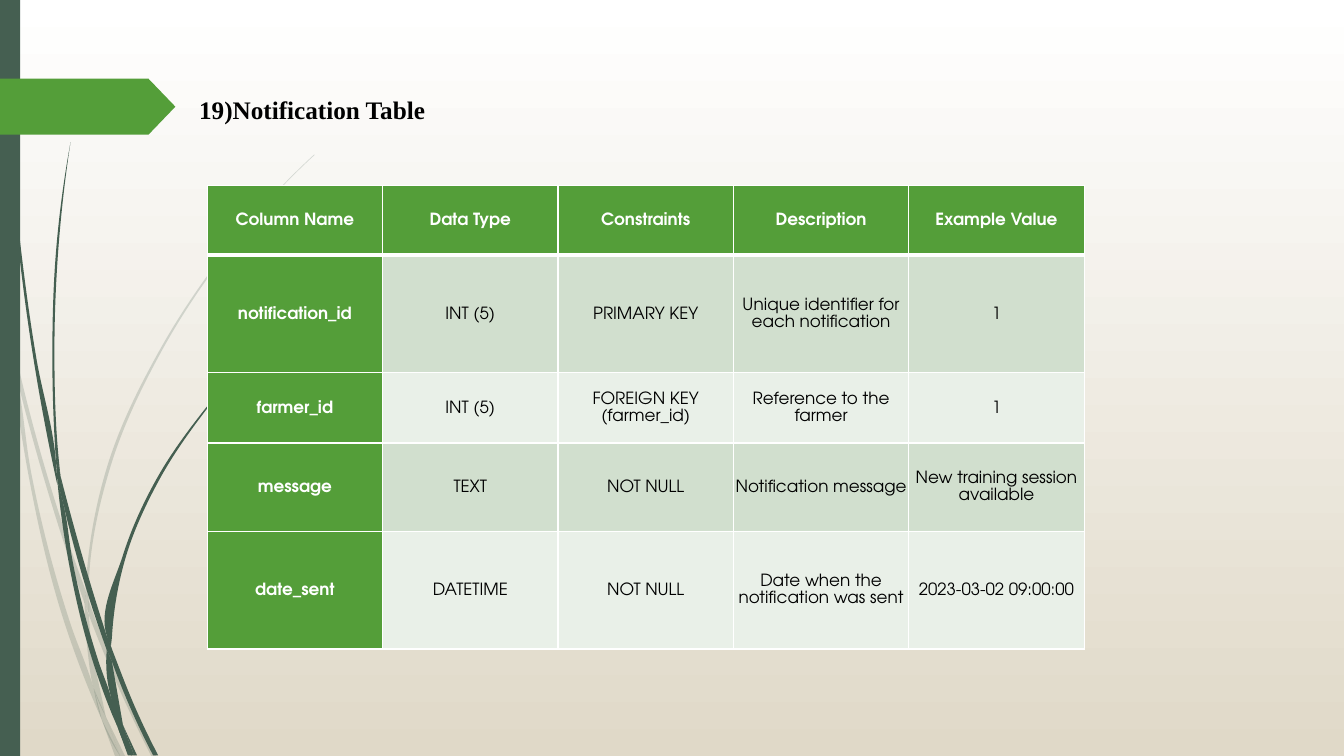
"""Build the notification table slide with its grass-blade decoration."""
import math
from dataclasses import dataclass

from lxml import etree
from pptx import Presentation
from pptx import util as u
from pptx.dml.color import RGBColor
from pptx.enum import shapes, text
from pptx.oxml.ns import qn

Point = tuple[float, float]
DARK, GREEN, WHITE, BLACK = "455F51", "549E39", "FFFFFF", "000000"
BANDS = ("D1DFCE", "E9F0E8")


@dataclass(frozen=True)
class Blade:
    there: list[Point]
    back: list[Point]


@dataclass(frozen=True)
class Row:
    height: float
    cells: tuple[str, ...]


PALE_BLADES = [
    Blade([(7.9, 252), (6.5, 231.8), (0, 203)], [(0, 215.3), (7.2, 247.7)]),
    Blade([(10.1, 248.4), (44.6, 374.4), (61.2, 421.9)],
          [(60.5, 431.3), (41.8, 375.8), (12.2, 270.7)]),
    Blade([(63.4, 429.1), (66.2, 437), (91.4, 498.2), (111.6, 540)],
          [(108, 540), (88.6, 499.7), (63.4, 439.2)]),
    Blade([(75.6, 511.9), (89.3, 540)], [(85.7, 540)]),
    Blade([(7.9, 252), (12.2, 270.7), (22.3, 337.7), (50.4, 445.7), (67, 491.8), (72.7, 514.1)],
          [(66.2, 499), (46.8, 447.1), (20.2, 338.4), (7.9, 252)]),
    Blade([(60.5, 431.3), (62.6, 465.1), (67, 491.8), (75.6, 511.9)],
          [(65.5, 465.1), (63.4, 439.2)]),
    Blade([(63.4, 429.1), (63.4, 420.5), (79.2, 332.6), (115.2, 251.3), (164.9, 176.4),
           (193, 142.6), (224.6, 110.9)],
          [(224.6, 110.2), (193, 141.8), (164.2, 175.7), (113.8, 250.6), (77, 331.9),
           (61.2, 420.5)]),
    Blade([(72.7, 514.1), (82.1, 540)], [(85.7, 540)]),
    Blade([(63.4, 437.8), (63.4, 429.1), (61.2, 421.9)], [(60.5, 431.3)]),
    Blade([(67, 491.8), (72.7, 514.1), (85.7, 540)], [(75.6, 511.9)]),
]
DARK_BLADES = [
    Blade([(2.9, 0), (5.8, 78.5), (13.7, 167), (25.9, 255.6), (39.6, 326.2), (41, 346.3)],
          [(40.3, 343.4), (23.8, 255.6), (12.2, 167.8), (5, 79.2), (2.2, 0)]),
    Blade([(43.2, 339.8), (67, 424.8), (76.3, 454.3)],
          [(76.3, 464.4), (63.4, 426.2), (46.1, 363.6)]),
    Blade([(79.2, 461.5), (81.4, 467.3), (97.9, 508.3), (113, 539.5)],
          [(109.4, 539.5), (95, 509.8), (79.9, 472.3)]),
    Blade([(41, 343.4), (46.1, 363.6), (51.8, 400.3), (70.6, 473), (79.2, 497.5), (84.2, 519.8)],
          [(79.9, 509.8), (67, 474.5), (49, 401), (41, 343.4)]),
    Blade([(43.2, 339.8), (41.8, 326.2), (38.9, 251.3), (41.8, 176.4), (50.4, 101.5)],
          [(50.4, 101.5), (40.3, 176.4), (37.4, 251.3), (39.6, 323.3)]),
    Blade([(87.8, 517.7), (97.9, 539.5)], [(95.8, 539.5)]),
    Blade([(39.6, 323.3), (43.2, 339.8), (46.1, 363.6)], [(41, 343.4)]),
    Blade([(79.9, 455.8), (90, 397.4), (113.8, 342.7), (147.6, 292.3), (166.3, 269.3),
           (187.9, 247.7)],
          [(187.2, 247.7), (166.3, 268.6), (146.9, 291.6), (112.3, 341.3), (87.8, 396.7),
           (76.3, 454.3), (79.2, 461.5)]),
    Blade([(84.2, 519.8), (91.4, 539.5)], [(94.3, 539.5)]),
    Blade([(76.3, 464.4), (79.2, 497.5), (87.8, 517.7)], [(79.9, 472.3)]),
    Blade([(76.3, 454.3), (79.2, 461.5), (79.9, 472.3)], [(76.3, 464.4)]),
    Blade([(79.2, 497.5), (84.2, 519.8), (93.6, 539.5)], [(95.8, 539.5), (87.8, 517.7)]),
]
ROWS = [
    Row(50, ("Column Name", "Data Type", "Constraints", "Description", "Example Value")),
    Row(84, ("notification_id", "INT (5)", "PRIMARY KEY",
             "Unique identifier for each notification", "1")),
    Row(50.2, ("farmer_id", "INT (5)", "FOREIGN KEY (farmer_id)", "Reference to the farmer", "1")),
    Row(63, ("message", "TEXT", "NOT NULL", "Notification message",
             "New training session available")),
    Row(84.2, ("date_sent", "DATETIME", "NOT NULL", "Date when the notification was sent",
               "2023-03-02 09:00:00")),
]


def color(value: str) -> RGBColor:
    return RGBColor.from_string(value)


def paint(shape, fill: str, opacity: int = 100) -> None:
    shape.shadow.inherit = False
    shape.fill.solid()
    shape.fill.fore_color.rgb = color(fill)
    if opacity < 100:
        for tint in shape._element.spPr.iter(qn("a:srgbClr")):
            etree.SubElement(tint, qn("a:alpha"), val=str(opacity * 1000))
    shape.line.fill.background()


def find_slopes(knots: list[Point]) -> list[Point]:
    chords = [math.dist(a, b) for a, b in zip(knots, knots[1:])]
    steps = [tuple((q - p) / chord for p, q in zip(a, b))
             for a, b, chord in zip(knots, knots[1:], chords)]
    inner = [tuple((p * after + q * before) / (before + after) for p, q in zip(s, t))
             for s, t, before, after in zip(steps, steps[1:], chords, chords[1:])]
    if not inner:
        return steps * 2
    first = tuple(2 * p - q for p, q in zip(steps[0], inner[0]))
    last = tuple(2 * p - q for p, q in zip(steps[-1], inner[-1]))
    return [first, *inner, last]


def bend(vertices: list, knots: list[Point]) -> None:
    slopes = find_slopes(knots) if len(knots) > 1 else []
    for index, vertex in enumerate(vertices[1:], 1):
        start, end = knots[index - 1:index + 1]
        reach = math.dist(start, end) / 3
        curve = etree.Element(qn("a:cubicBezTo"))
        controls = ([p + s * reach for p, s in zip(start, slopes[index - 1])],
                    [p - s * reach for p, s in zip(end, slopes[index])], end)
        for x, y in controls:
            etree.SubElement(curve, qn("a:pt"), x=str(round(x)), y=str(round(y)))
        vertex.getparent().replace(vertex, curve)


def draw_blade(slide, blade: Blade, opacity: int) -> None:
    outline = [(u.Pt(x), u.Pt(y)) for x, y in blade.there + blade.back]
    builder = slide.shapes.build_freeform(*outline[0])
    builder.add_line_segments(outline[1:], close=True)
    shape = builder.convert_to_shape()
    vertices = [point.getparent() for point in shape._element.spPr.iter(qn("a:pt"))]
    knots = [(x - shape.left, y - shape.top) for x, y in outline]
    turn = len(blade.there)
    bend(vertices[:turn], knots[:turn])
    bend(vertices[turn:turn + len(blade.back)], knots[turn:])
    paint(shape, DARK, opacity)


def draw_preset(slide, kind, box: tuple[float, ...], fill: str):
    shape = slide.shapes.add_shape(kind, *map(u.Pt, box))
    paint(shape, fill)
    return shape


def set_title(slide) -> None:
    title = slide.shapes.title
    title.left, title.top, title.width, title.height = map(u.Pt, (135, 62.6, 480.2, 28.8))
    frame = title.text_frame
    frame.text = "19)Notification Table"
    frame.word_wrap = True
    frame.auto_size = text.MSO_AUTO_SIZE.SHAPE_TO_FIT_TEXT
    frame.vertical_anchor = text.MSO_ANCHOR.TOP
    style_paragraph(frame.paragraphs[0], text.PP_ALIGN.JUSTIFY, 1.05, 10.1)
    style_font(frame.paragraphs[0], "Times New Roman", 18, BLACK, True)


def style_paragraph(paragraph, alignment, line_spacing: float, space_after: float) -> None:
    paragraph.alignment = alignment
    paragraph.line_spacing = line_spacing
    paragraph.space_before, paragraph.space_after = u.Pt(0), u.Pt(space_after)


def style_font(paragraph, name: str, size: float, fill: str, bold: bool) -> None:
    font = paragraph.font
    font.name, font.size, font.bold = name, u.Pt(size), bold
    font.color.rgb = color(fill)


def set_borders(cell, widths: dict[str, float]) -> None:
    properties = cell._tc.get_or_add_tcPr()
    for index, (side, width) in enumerate(widths.items()):
        line = etree.Element(qn(f"a:ln{side}"), w=str(u.Pt(width)))
        fill = etree.SubElement(line, qn("a:solidFill"))
        etree.SubElement(fill, qn("a:srgbClr"), val=WHITE)
        properties.insert(index, line)


def fill_cell(cell, label: str, row: int, column: int) -> None:
    heading = row == 0 or column == 0
    cell.text = label
    cell.vertical_anchor = text.MSO_ANCHOR.MIDDLE
    cell.margin_left = cell.margin_right = cell.margin_top = cell.margin_bottom = u.Pt(0.75)
    cell.fill.solid()
    cell.fill.fore_color.rgb = color(GREEN if heading else BANDS[(row - 1) % 2])
    paragraph = cell.text_frame.paragraphs[0]
    style_paragraph(paragraph, text.PP_ALIGN.CENTER, 1.07, 8)
    style_font(paragraph, "TeX Gyre Adventor", 12, WHITE if heading else BLACK, heading)
    set_borders(cell, {"L": 1, "R": 1, "T": 1, "B": 1 if row else 3})


def draw_table(slide) -> None:
    box = map(u.Pt, (148, 132.3, 626.5, sum(row.height for row in ROWS)))
    table = slide.shapes.add_table(len(ROWS), len(ROWS[0].cells), *box).table
    for index, row in enumerate(ROWS):
        table.rows[index].height = u.Pt(row.height)
        for column, label in enumerate(row.cells):
            fill_cell(table.cell(index, column), label, index, column)


def main() -> None:
    presentation = Presentation()
    presentation.slide_width, presentation.slide_height = u.Pt(960), u.Pt(540)
    slide = presentation.slides.add_slide(presentation.slide_layouts[5])
    background = slide.background.fill
    background.gradient()
    background.gradient_angle = 270
    for stop, position, shade in zip(background.gradient_stops, (0, 1), (WHITE, "E0D9C8")):
        stop.position, stop.color.rgb = position, color(shade)
    for blades, opacity in ((PALE_BLADES, 20), (DARK_BLADES, 100)):
        for blade in blades:
            draw_blade(slide, blade, opacity)
    draw_preset(slide, shapes.MSO_SHAPE.RECTANGLE, (0, 0, 14.4, 540), DARK)
    arrow = draw_preset(slide, shapes.MSO_SHAPE.PENTAGON, (0, 56.2, 125.3, 40), GREEN)
    arrow.adjustments[0] = 0.48
    set_title(slide)
    draw_table(slide)
    presentation.save("out.pptx")


if __name__ == "__main__":
    main()
